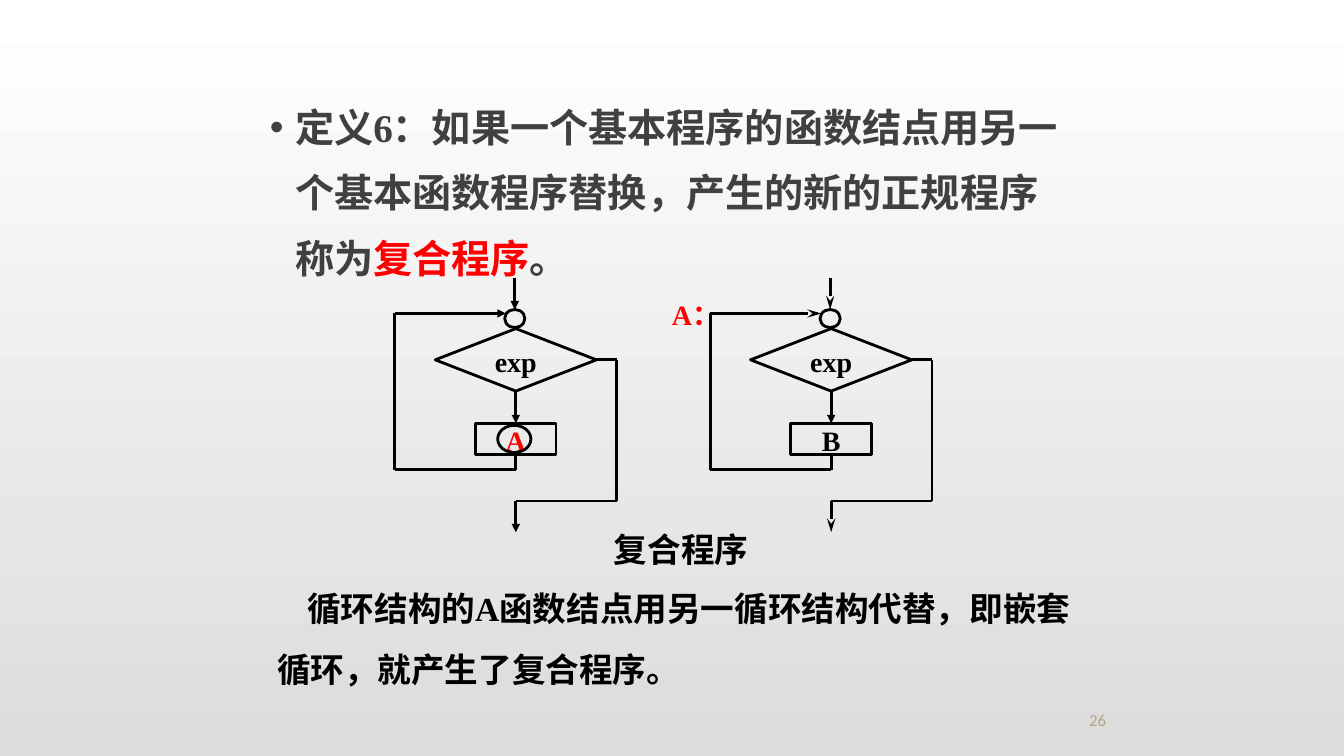
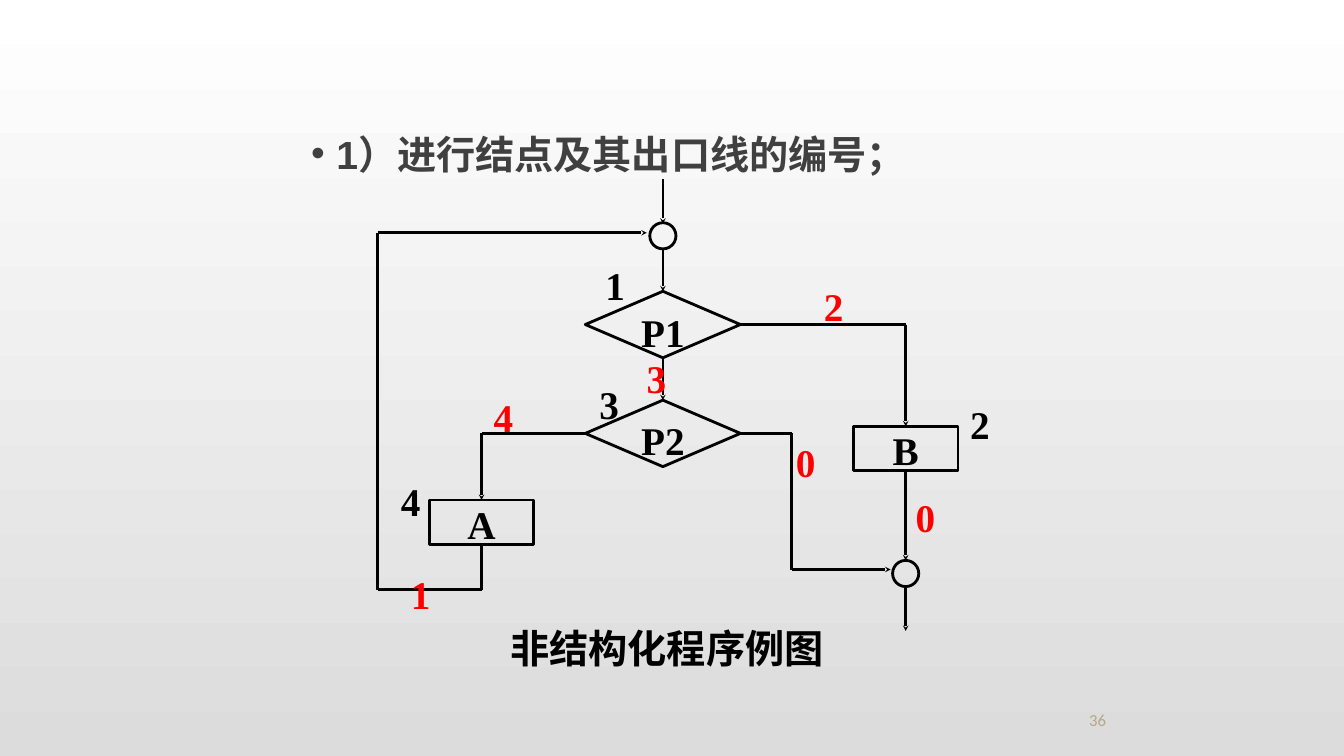
from itertools import pairwise

from lxml import etree
from pptx import Presentation
from pptx import util as u
from pptx.dml.color import RGBColor
from pptx.enum import shapes, text
from pptx.oxml.ns import qn

PX = 9144  # EMU per px, 100 px to the inch
COLOURS = {"top": "FFFFFF", "bottom": "DCDCDC", "body": "404040",
           "ink": "000000", "accent": "FF0000", "number": "B5A788"}
SERIF, SANS, EAST_ASIAN = "Times New Roman", "Arial", "Noto Sans CJK SC"
CENTER, LEFT = text.PP_ALIGN.CENTER, text.PP_ALIGN.LEFT
TOP_SIDE, LEFT_SIDE, BOTTOM_SIDE, RIGHT_SIDE = range(4)
KINDS = {"box": shapes.MSO_SHAPE.RECTANGLE,
         "decision": shapes.MSO_SHAPE.FLOWCHART_DECISION,
         "circle": shapes.MSO_SHAPE.OVAL}
# Arrowheads as type, width and length
TRIANGLE = ("triangle", "med", "med")
LONG_STEALTH = ("stealth", "med", "lg")
SMALL_STEALTH = ("stealth", "sm", "sm")


def px(*lengths):
    return [u.Emu(round(length * PX)) for length in lengths]


def rgb(name):
    return RGBColor.from_string(COLOURS[name])


def apply(target, formats):
    for name, value in formats.items():
        setattr(target, name, value)


def write(frame, runs, size, font=SERIF, bold=True, insets=(0, 0), wrap=True,
          anchor=text.MSO_ANCHOR.TOP, align=LEFT, pitch=None, after=0,
          indent=None, bullet=None):
    """Fill a frame with one paragraph of (wording, colour name) runs.

    indent holds the left margin and the first-line indent in px.
    """
    side, edge = px(*insets)
    apply(frame, {"margin_left": side, "margin_right": side, "margin_top": edge,
                  "margin_bottom": edge, "word_wrap": wrap,
                  "vertical_anchor": anchor})
    paragraph = frame.paragraphs[0]
    apply(paragraph, {"alignment": align, "space_after": u.Pt(after)})
    if pitch:
        paragraph.line_spacing = u.Pt(pitch)
    properties = paragraph._p.get_or_add_pPr()
    if indent:
        for name, length in zip(("marL", "indent"), px(*indent)):
            properties.set(name, str(length))
    if bullet:
        colour = etree.SubElement(properties, qn("a:buClr"))
        etree.SubElement(colour, qn("a:srgbClr"), val=COLOURS["body"])
        etree.SubElement(properties, qn("a:buFont"), typeface=SANS)
        etree.SubElement(properties, qn("a:buChar"), char=bullet)
    for wording, colour in runs:
        run = paragraph.add_run()
        run.text = wording
        apply(run.font, {"size": u.Pt(size), "bold": bold, "name": font})
        run.font.color.rgb = rgb(colour)
        latin = run.font._element.find(qn("a:latin"))
        latin.addnext(etree.Element(qn("a:ea"), typeface=EAST_ASIAN))


def label(slide, box, runs, size, **formats):
    frame = slide.shapes.add_textbox(*px(*box)).text_frame
    write(frame, runs, size, **formats)


def node(slide, kind, box, wording="", size=28, colour="ink"):
    shape = slide.shapes.add_shape(KINDS[kind], *px(*box))
    shape.shadow.inherit = False
    shape.fill.background()
    shape.line.color.rgb = rgb("ink")
    shape.line.width = u.Pt(2)
    if wording:
        write(shape.text_frame, [(wording, colour)], size, align=CENTER)
    return shape


def locate(stop):
    """Give the EMU position of an (x, y) or (shape, side) stop."""
    place, side = stop
    if isinstance(place, int):
        return px(*stop)
    across, down = {TOP_SIDE: (1, 0), LEFT_SIDE: (0, 1),
                    BOTTOM_SIDE: (1, 2), RIGHT_SIDE: (2, 1)}[side]
    return (place.left + place.width * across // 2,
            place.top + place.height * down // 2)


def route(slide, *stops, head=None):
    """Draw straight connectors from stop to stop, with a head on the last."""
    for start, end in pairwise(stops):
        line = slide.shapes.add_connector(
            shapes.MSO_CONNECTOR.STRAIGHT, *locate(start), *locate(end))
        line.line.color.rgb = rgb("ink")
        line.line.width = u.Pt(2)
        for stop, connect in ((start, line.begin_connect), (end, line.end_connect)):
            if not isinstance(stop[0], int):
                connect(*stop)
        properties = line.element.spPr
        if head and end is stops[-1]:
            etree.SubElement(properties.find(qn("a:ln")), qn("a:tailEnd"),
                             dict(zip(("type", "w", "len"), head)))
        etree.SubElement(properties, qn("a:effectLst"))


def statement(slide, box, runs, pitch, font=SERIF):
    label(slide, box, runs, 28, font=font, insets=(10, 5), pitch=pitch,
          after=10, indent=(25, -25), bullet="•")


def page_number(slide, number):
    label(slide, (942, 694, 295, 35), [(number, "number")], 12, font="Calibri",
          bold=False, insets=(10, 5), align=CENTER, anchor=text.MSO_ANCHOR.BOTTOM)


def loop_chart(slide, left, top, function, colour, head):
    """Draw a while loop around one function node."""
    def at(x, y, *size):
        return (left + x, top + y, *size)

    function_box = node(slide, "box", at(80, 144, 80, 31), function, 20, colour)
    test = node(slide, "decision", at(40, 50, 160, 62), "exp", 20)
    node(slide, "circle", at(109, 31, 20, 18))
    route(slide, at(119, 0), at(119, 31), head=head)
    route(slide, (test, BOTTOM_SIDE), (function_box, TOP_SIDE), head=TRIANGLE)
    route(slide, (function_box, BOTTOM_SIDE), at(120, 190), at(0, 190),
          at(0, 35), at(110, 35), head=head)
    route(slide, (test, RIGHT_SIDE), at(220, 81), at(220, 221), at(120, 221),
          at(120, 252), head=head)


def compound_program(slide):
    statement(slide, (258, 79, 808, 217), [
        ("定义6：如果一个基本程序的函数结点用另一个基本函数程序替换，"
         "产生的新的正规程序称为", "body"),
        ("复合程序", "accent"), ("。", "body")], 46.8)
    loop_chart(slide, 392, 276, "A", "accent", TRIANGLE)
    node(slide, "circle", (494, 422, 33, 27))
    loop_chart(slide, 705, 276, "B", "ink", LONG_STEALTH)
    label(slide, (661, 295, 60, 31), [("A：", "accent")], 20, align=CENTER)
    label(slide, (586, 525, 180, 31), [("复合程序", "ink")], 24, align=CENTER)
    label(slide, (275, 558, 792, 130), [
        ("循环结构的A函数结点用另一循环结构代替，即嵌套循环，就产生了复合程序。",
         "ink")], 24, insets=(0, 5), pitch=43.5, indent=(0, 30))
    page_number(slide, "26")


def numbered_chart(slide, left, top):
    """Draw the unstructured program with its node and exit numbers."""
    def at(x, y, *size):
        return (left + x, top + y, *size)

    node(slide, "circle", at(270, 43, 26, 26))
    p1 = node(slide, "decision", at(206, 111, 154, 66), "P1")
    p2 = node(slide, "decision", at(206, 219, 154, 66), "P2")
    a = node(slide, "box", at(51, 318, 104, 44), "A")
    b = node(slide, "box", at(472, 245, 104, 44), "B")
    node(slide, "circle", at(511, 378, 26, 26))

    for stops in (
            (at(283, 0), at(283, 44)),
            (at(283, 69), (p1, TOP_SIDE)),
            ((p1, BOTTOM_SIDE), (p2, TOP_SIDE)),
            ((p1, RIGHT_SIDE), at(524, 144), (b, TOP_SIDE)),
            ((p2, LEFT_SIDE), at(103, 252), (a, TOP_SIDE)),
            ((p2, RIGHT_SIDE), at(411, 252), at(411, 387), at(509, 387)),
            ((b, BOTTOM_SIDE), at(524, 378)),
            (at(524, 404), at(524, 448)),
            ((a, BOTTOM_SIDE), at(103, 407), at(0, 407), at(0, 53), at(267, 53))):
        route(slide, *stops, head=SMALL_STEALTH)

    for number, x, y in (("1", 226, 81), ("3", 220, 199),
                         ("4", 23, 296), ("2", 588, 219)):
        label(slide, at(x, y, 51, 44), [(number, "ink")], 28)
    for number, x, y in (("0", 524, 306), ("0", 405, 252), ("2", 433, 97),
                         ("3", 257, 169), ("4", 105, 207), ("1", 23, 383)):
        label(slide, at(x, y, 39, 57), [(number, "accent")], 28,
              insets=(10, 5), wrap=False)


def unstructured_program(slide):
    statement(slide, (299, 111, 658, 67),
              [("1）进行结点及其出口线的编号；", "body")], 43, SANS)
    numbered_chart(slide, 375, 178)
    label(slide, (495, 619, 334, 44), [("非结构化程序例图", "ink")], 28,
          align=CENTER)
    page_number(slide, "36")


def set_background(master):
    fill = master.background.fill
    fill.gradient()
    fill.gradient_angle = 270
    for stop, name in zip(fill.gradient_stops, ("top", "bottom")):
        stop.color.rgb = rgb(name)


def main():
    deck = Presentation()
    deck.slide_width, deck.slide_height = px(1334, 750)
    set_background(deck.slide_master)
    blank = deck.slide_layouts.get_by_name("Blank")
    for build in (compound_program, unstructured_program):
        build(deck.slides.add_slide(blank))
    deck.save("out.pptx")


if __name__ == "__main__":
    main()
